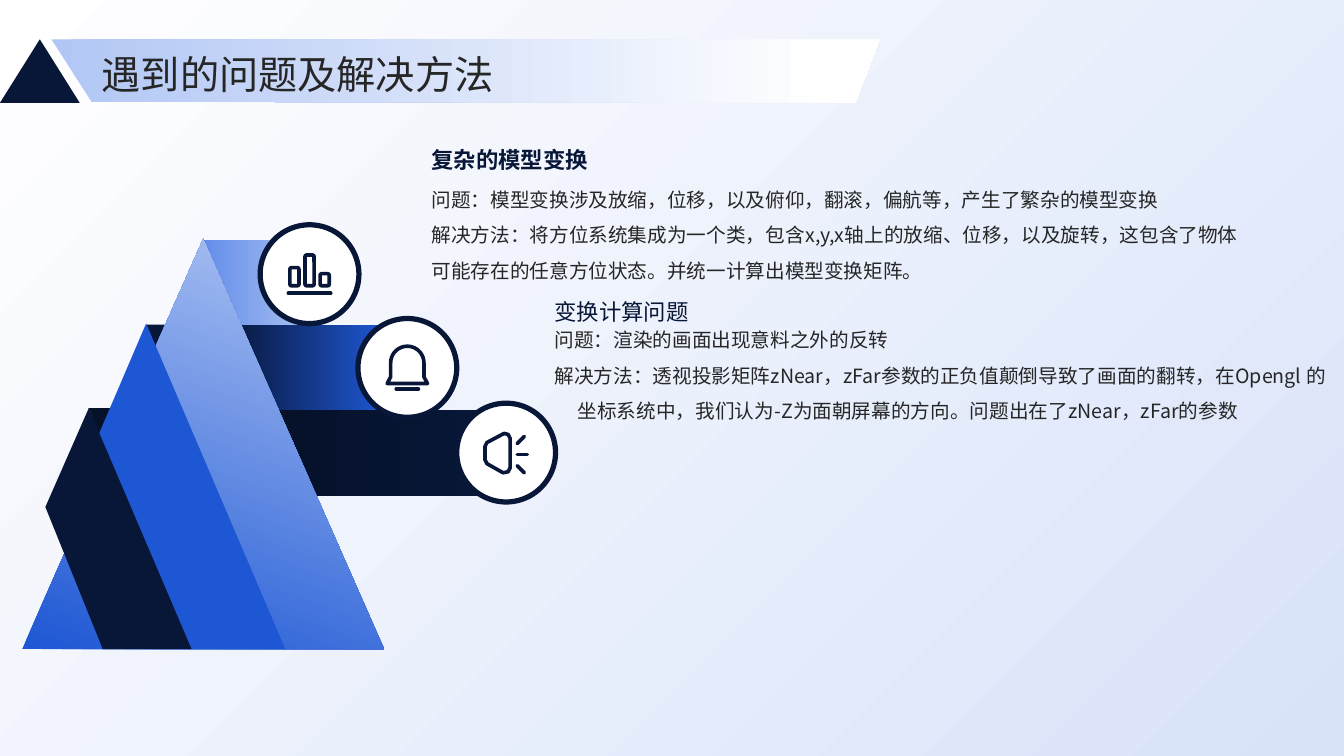
import math

from lxml import etree
from pptx import Presentation
from pptx.dml.color import RGBColor
from pptx.enum import shapes as sh, text as tx
from pptx.oxml.ns import qn
from pptx.util import Inches, Pt

FONT = "Noto Sans CJK SC"
NAVY, INK, BLUE, PALE, WHITE = "081738", "06112A", "1E57D4", "B1C6F4", "FFFFFF"
GREY = "262626"
STROKE = 2.6
SHAPE = sh.MSO_SHAPE


def color(value):
    return RGBColor.from_string(value)


def paint(shape, fill=None, line=None, width=STROKE, angle=0, end=1.0):
    """Fill is None, one colour, or a (start, end) pair with a clockwise angle."""
    shape.shadow.inherit = False
    if fill is None:
        shape.fill.background()
    elif isinstance(fill, tuple):
        shape.fill.gradient()
        shape.fill.gradient_angle = (360 - angle) % 360
        for stop, value, position in zip(shape.fill.gradient_stops, fill, (0, end)):
            stop.color.rgb = color(value)
            stop.position = position
    else:
        shape.fill.solid()
        shape.fill.fore_color.rgb = color(fill)
    if line:
        shape.line.color.rgb = color(line)
        shape.line.width = Pt(width)
    else:
        shape.line.fill.background()
    return shape


def add_preset(slide, kind, x, y, w, h, fill=None, **style):
    shape = slide.shapes.add_shape(kind, Inches(x), Inches(y), Inches(w), Inches(h))
    return paint(shape, fill, **style)


def add_outline(slide, x, y, points, fill=None, **style):
    corners = [(Inches(x + dx), Inches(y + dy)) for dx, dy in points]
    builder = slide.shapes.build_freeform(*corners[0], scale=1.0)
    builder.add_line_segments(corners[1:], close=True)
    return paint(builder.convert_to_shape(), fill, **style)


def add_stroke(slide, x1, y1, x2, y2):
    stroke = slide.shapes.add_connector(
        sh.MSO_CONNECTOR.STRAIGHT, Inches(x1), Inches(y1), Inches(x2), Inches(y2))
    stroke.line.color.rgb = color(NAVY)
    stroke.line.width = Pt(STROKE)
    stroke.line._get_or_add_ln().set("cap", "rnd")
    etree.SubElement(stroke._element.spPr, qn("a:effectLst"))


def set_text(shape, paragraphs, size, ink, anchor, spacing=1.5, bold=False):
    frame = shape.text_frame
    frame.word_wrap = True
    frame.auto_size = tx.MSO_AUTO_SIZE.NONE
    frame.margin_left = frame.margin_right = frame.margin_top = frame.margin_bottom = 0
    frame.vertical_anchor = anchor
    for i, words in enumerate(paragraphs):
        paragraph = frame.add_paragraph() if i else frame.paragraphs[0]
        paragraph.text = words
        paragraph.alignment = tx.PP_ALIGN.LEFT
        paragraph.line_spacing = spacing
        for run in paragraph.runs:
            run.font.name = FONT
            run.font.size = Pt(size)
            run.font.bold = bold
            run.font.color.rgb = color(ink)
            east_asian = etree.SubElement(run.font._element, qn("a:ea"))
            east_asian.set("typeface", FONT)
    return frame


def add_text(slide, x, y, w, h, *args, **style):
    box = slide.shapes.add_textbox(Inches(x), Inches(y), Inches(w), Inches(h))
    return set_text(box, *args, **style)


# Icons, each drawn around its centre
def chart_icon(slide, cx, cy):
    for i, top in enumerate((-0.065, -0.19, -0.005)):
        column = add_preset(slide, SHAPE.ROUNDED_RECTANGLE, cx - 0.195 + 0.15 * i,
                            cy + top, 0.09, 0.115 - top, line=NAVY)
        column.adjustments[0] = 0.18
    add_stroke(slide, cx - 0.21, cy + 0.19, cx + 0.21, cy + 0.19)


def bell_icon(slide, cx, cy):
    radius = 0.165
    arcs = [math.radians(a) for a in range(180, 361, 10)]
    dome = [(radius * math.cos(a), radius * math.sin(a) - 0.05) for a in arcs]
    rim = [(radius, 0.09), (0.2, 0.155), (-0.2, 0.155), (-radius, 0.09)]
    add_outline(slide, cx, cy, dome + rim, line=NAVY)
    add_stroke(slide, cx - 0.11, cy + 0.21, cx + 0.11, cy + 0.21)


def speaker_icon(slide, cx, cy):
    horn = [(-0.02, -0.19), (0.02, -0.18), (0.04, -0.14), (0.04, 0.15), (0.02, 0.19),
            (-0.03, 0.2), (-0.19, 0.11), (-0.21, 0.07), (-0.21, -0.06), (-0.19, -0.1)]
    add_outline(slide, cx, cy, horn, line=NAVY)
    for y1, y2, reach in ((-0.09, -0.16, 0.18), (0.02, 0.02, 0.21), (0.13, 0.2, 0.18)):
        add_stroke(slide, cx + 0.11, cy + y1, cx + reach, cy + y2)


def add_pyramid(slide, x, y, w, h):
    # Arms reaching out to the discs
    arms = [(1.8, 1.14, ("638DE9", PALE)), (2.04, 1.56, (NAVY, BLUE)),
            (2.53, 2.08, (INK, NAVY))]
    for i, (left, length, fill) in enumerate(arms):
        add_preset(slide, SHAPE.RECTANGLE, x + left, y + 0.01 + 0.845 * i,
                   length, 0.85, fill)
    # Folds behind the pyramid
    for left, top, fill in ((0.66, 1.68, INK), (1.23, 0.85, NAVY)):
        fold = add_preset(slide, SHAPE.ISOSCELES_TRIANGLE, x + left, y + top,
                          0.73, 0.92, fill)
        fold.rotation = 180
    # Pyramid and its bands
    add_preset(slide, SHAPE.ISOSCELES_TRIANGLE, x, y, w, h, (BLUE, PALE), angle=290)
    add_outline(slide, x, y, [(1.23, 0.84), (2.61, h), (1.31, h), (0.58, 2.36)], BLUE)
    add_outline(slide, x, y, [(0.66, 1.68), (1.68, h), (0.8, h), (0.23, 2.66)], NAVY)
    # Discs with icons
    size = 0.98
    discs = [(2.36, -0.14, chart_icon), (3.33, 0.79, bell_icon),
             (4.31, 1.63, speaker_icon)]
    for left, top, icon in discs:
        add_preset(slide, SHAPE.OVAL, x + left, y + top, size, size, WHITE,
                   line=NAVY, width=3.75)
        icon(slide, x + left + size / 2, y + top + size / 2)


def add_problem(slide, x, y, w, body_top, body_height, heading, paragraphs, bold=False):
    add_text(slide, x, y, w, 0.49, [heading], 16, NAVY, tx.MSO_ANCHOR.BOTTOM, bold=bold)
    return add_text(slide, x, y + body_top, w, body_height, paragraphs, 14, GREY,
                    tx.MSO_ANCHOR.TOP)


def add_header(slide, x, y, h, words):
    add_preset(slide, SHAPE.ISOSCELES_TRIANGLE, x, y, 0.79, h, NAVY)
    add_outline(slide, x, y, [(0.91, h - 0.01), (0.51, 0), (8.73, 0), (8.49, h)],
                (PALE, WHITE), end=0.94)
    title = slide.shapes.title
    title.left, title.top = Inches(x + 1.01), Inches(y + 0.06)
    title.width, title.height = Inches(11.52), Inches(0.51)
    set_text(title, [words], 28, GREY, tx.MSO_ANCHOR.MIDDLE, spacing=1.1)
    slide.shapes._spTree.append(title._element)  # in front of the banner


def main():
    deck = Presentation()
    deck.slide_width, deck.slide_height = Inches(13.33), Inches(7.5)
    slide = deck.slides.add_slide(deck.slide_layouts[5])

    # Backdrop
    add_preset(slide, SHAPE.RECTANGLE, 0, 0, 13.33, 7.5, (WHITE, "D8E2F9"), angle=45)

    # Problems and solutions
    add_problem(slide, 4.28, 1.23, 8.11, 0.52, 0.76, "复杂的模型变换", [
        "问题：模型变换涉及放缩，位移，以及俯仰，翻滚，偏航等，产生了繁杂的模型变换\n"
        "解决方法：将方位系统集成为一个类，包含x,y,x轴上的放缩、位移，以及旋转，"
        "这包含了物体可能存在的任意方位状态。并统一计算出模型变换矩阵。"], bold=True)
    projection = add_problem(slide, 5.5, 2.73, 7.75, 0.41, 0.99, "变换计算问题", [
        "问题：渲染的画面出现意料之外的反转",
        "解决方法：透视投影矩阵zNear，zFar参数的正负值颠倒导致了画面的翻转，在Opengl "
        "的坐标系统中，我们认为-Z为面朝屏幕的方向。问题出在了zNear，zFar的参数"])
    hanging = projection.paragraphs[1]._p.get_or_add_pPr()
    hanging.set("marL", str(Inches(0.23)))
    hanging.set("indent", str(-Inches(0.23)))

    add_pyramid(slide, 0.22, 2.37, 3.59, 4.07)
    add_header(slide, 0, 0.39, 0.63, "遇到的问题及解决方法")
    deck.save("out.pptx")


if __name__ == "__main__":
    main()
